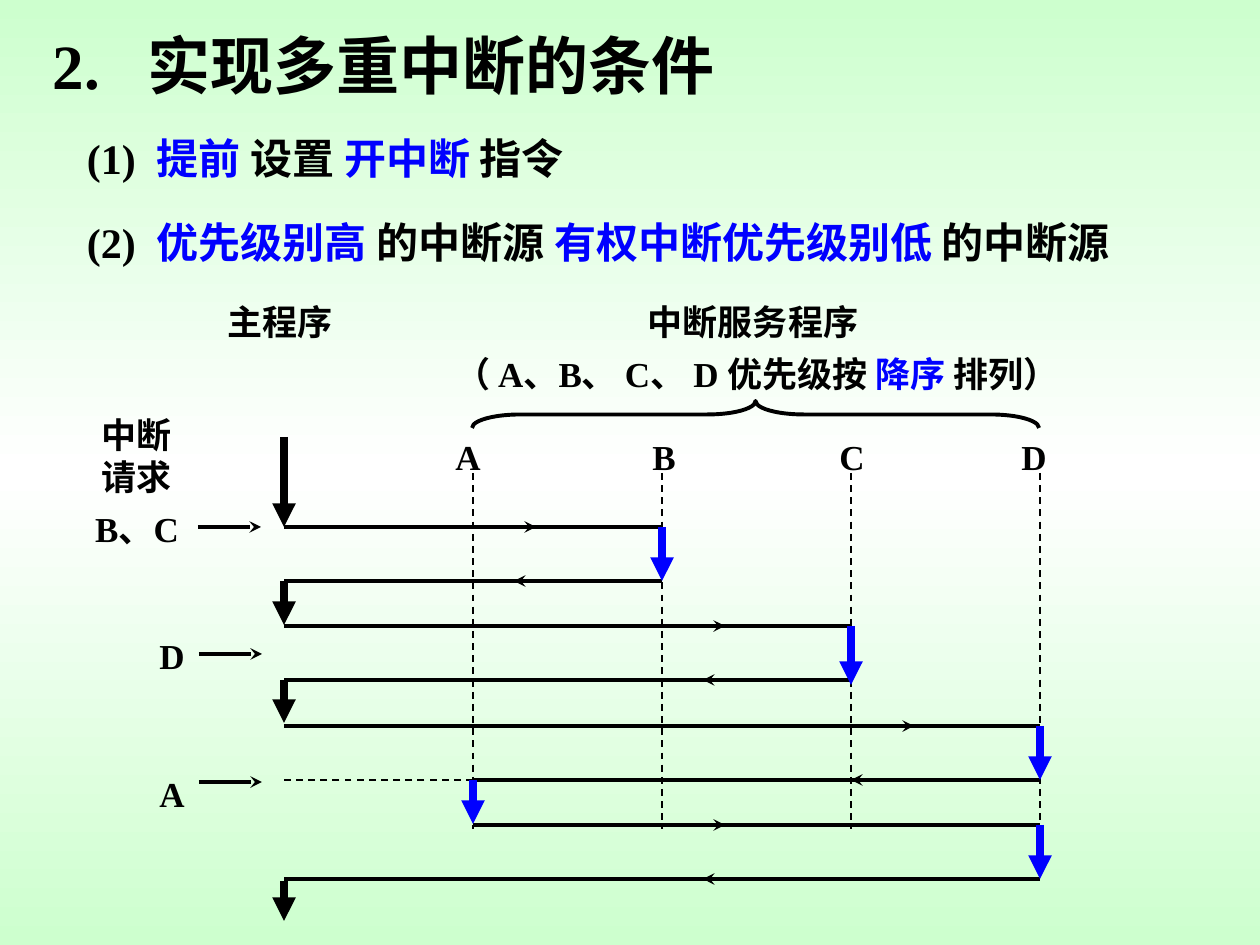
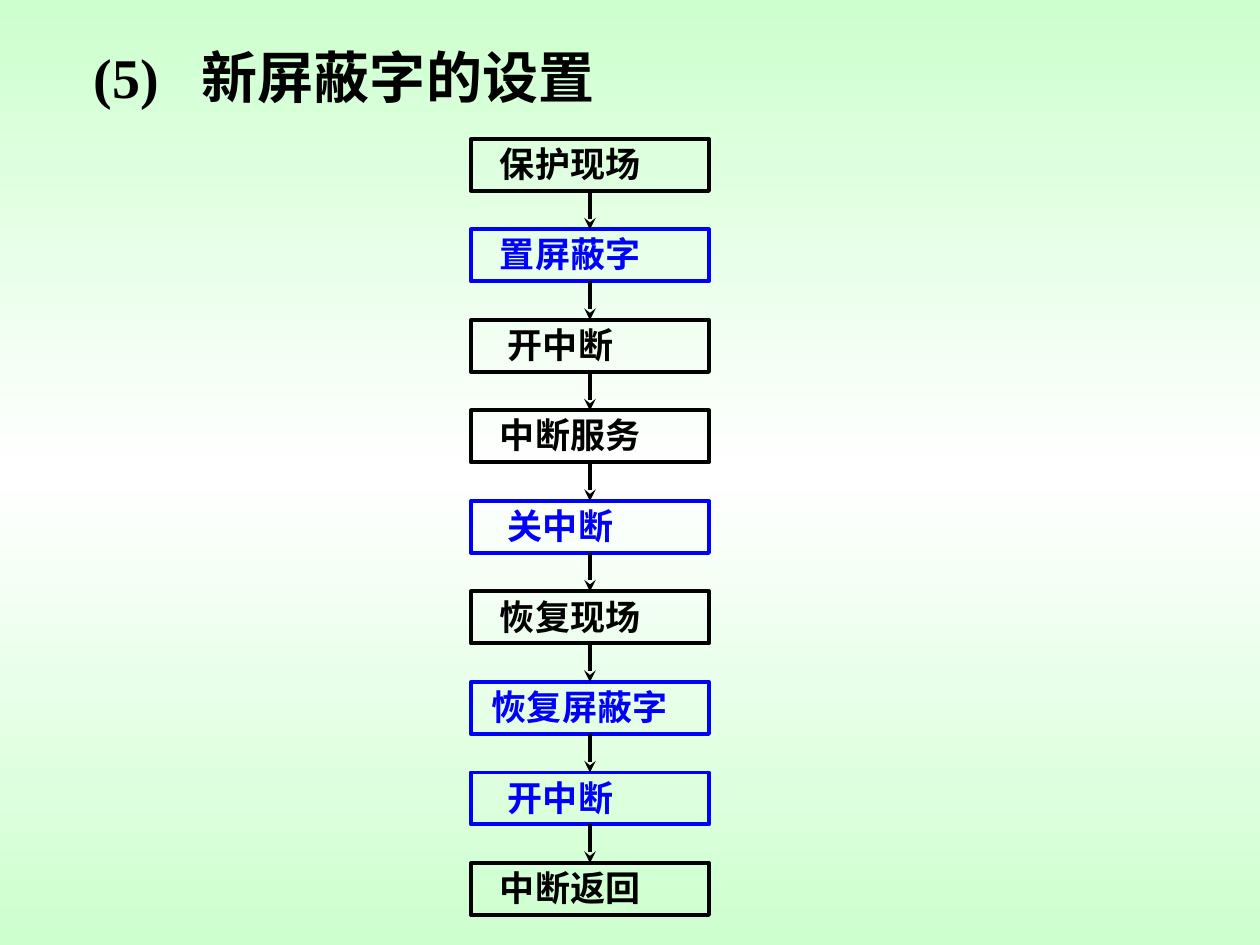
from copy import deepcopy

from lxml.etree import SubElement
from pptx import Presentation
from pptx.dml.color import RGBColor
from pptx.enum.dml import MSO_LINE
from pptx.enum.shapes import MSO_CONNECTOR, MSO_SHAPE
from pptx.enum.text import MSO_ANCHOR, PP_ALIGN
from pptx.oxml.ns import qn
from pptx.util import Emu, Pt

# Shared look
BLACK = RGBColor(0x00, 0x00, 0x00)
BLUE = RGBColor(0x00, 0x00, 0xFF)
GREEN = RGBColor(0xCD, 0xFF, 0xCE)
WHITE = RGBColor(0xFF, 0xFF, 0xFF)
LATIN, CJK = "Times New Roman", "Noto Sans CJK SC"
BG_STOPS = [(0, GREEN), (0.5, WHITE), (1, GREEN)]
THIN, LINE, THICK = 1, 2.25, 4.5
PAD, LABEL_PAD = (13, 6), (0, 6)

# Slide 1: text, as (text, colour) runs where colours mix
CONDITIONS_TITLE = "2.\t实现多重中断的条件"
CONDITIONS = [
    (127, [("(1)\t", BLACK), ("提前 ", BLUE), ("设置 ", BLACK),
           ("开中断 ", BLUE), ("指令", BLACK)]),
    (211, [("(2)\t", BLACK), ("优先级别高 ", BLUE), ("的中断源 ", BLACK),
           ("有权中断优先级别低 ", BLUE), ("的中断源", BLACK)]),
]
LABELS = [  # left, top, width, height, lines
    (215, 294, 130, 55, ["主程序"]),
    (635, 294, 236, 55, ["中断服务程序"]),
    (408, 346, 698, 55, [[("（ A、B、 C、 D 优先级按 ", BLACK),
                          ("降序 ", BLUE), ("排列）", BLACK)]]),
    (89, 407, 95, 97, ["中断", "请求"]),
    (74, 501, 126, 55, ["B、C"]),
    (147, 628, 50, 55, ["D"]),
    (147, 766, 50, 55, ["A"]),
    (443, 429, 50, 55, ["A"]),
    (640, 429, 48, 55, ["B"]),
    (827, 429, 50, 55, ["C"]),
    (1009, 429, 50, 55, ["D"]),
]

# Slide 1: timeline; M is the main program, A to D the service programs
LANES = {name: 284 + 189 * i for i, name in enumerate("MABCD")}
REQUESTS = [(198, 527), (199, 654), (199, 782)]  # arrow start x, y
JUMPS = [  # y, from lane, to lane, x of the arrow tip
    (527, "M", "B", 536),
    (581, "B", "M", 514),
    (626, "M", "C", 725),
    (680, "C", "M", 703),
    (726, "M", "D", 914),
    (780, "D", "A", 851),
    (825, "A", "D", 725),
    (879, "D", "M", 703),
]
RUNNING = [  # lane, from y, to y
    ("M", 437, 527), ("B", 527, 581), ("M", 581, 625), ("C", 626, 685),
    ("M", 680, 723), ("D", 726, 780), ("A", 780, 824), ("D", 825, 879),
    ("M", 881, 921),
]
ARROW_LEN = 63

# Slide 2: flow chart steps and colours
MASK_TITLE = "(5)\t新屏蔽字的设置"
STEPS = [
    ("保护现场", BLACK), ("置屏蔽字", BLUE), ("开中断", BLACK),
    ("中断服务", BLACK), ("关中断", BLUE), ("恢复现场", BLACK),
    ("恢复屏蔽字", BLUE), ("开中断", BLUE), ("中断返回", BLACK),
]
STEP_LEFT, STEP_W, STEP_H = 471, 238, 52
FIRST_TOP, LAST_TOP = 139, 863


def px(n):
    return Emu(round(n * 914400 / 126))


def write(tf, lines, size, font=LATIN, color=BLACK, tab=None,
          align=PP_ALIGN.LEFT):
    """Fill a text frame; a line is a string or a list of coloured runs."""
    for i, line in enumerate(lines):
        p = tf.paragraphs[0] if i == 0 else tf.add_paragraph()
        p.alignment = align
        if tab:
            tabs = SubElement(p._p.get_or_add_pPr(), qn("a:tabLst"))
            SubElement(tabs, qn("a:tab"), pos=str(px(tab)), algn="l")
        p.font.size, p.font.bold, p.font.name = Pt(size), True, font
        p.font.color.rgb = color
        SubElement(p._p.pPr.find(qn("a:defRPr")), qn("a:ea"), typeface=CJK)
        runs = [(line, color)] if isinstance(line, str) else line
        for text, run_color in runs:
            r = p.add_run()
            r.text = text
            if run_color != color:
                r.font.color.rgb = run_color


def set_margins(tf, x, y):
    tf.margin_left = tf.margin_right = px(x)
    tf.margin_top = tf.margin_bottom = px(y)


def add_text(s, box, lines, size, margins=PAD, anchor=MSO_ANCHOR.TOP,
             **style):
    tf = s.shapes.add_textbox(*map(px, box)).text_frame
    tf.word_wrap, tf.vertical_anchor = True, anchor
    set_margins(tf, *margins)
    write(tf, lines, size, **style)


def add_title(s, left, top, text, size, tab):
    add_text(s, (left, top, 983, 59), [text], size, margins=(0, 0),
             anchor=MSO_ANCHOR.MIDDLE, tab=tab)


def add_line(s, x1, y1, x2, y2, width=LINE, color=BLACK, head=None,
             dashed=False):
    c = s.shapes.add_connector(MSO_CONNECTOR.STRAIGHT,
                               px(x1), px(y1), px(x2), px(y2))
    c.line.width, c.line.color.rgb = Pt(width), color
    if dashed:
        c.line.dash_style = MSO_LINE.DASH
    sp_pr = c._element.spPr
    if head:
        SubElement(sp_pr.find(qn("a:ln")), qn("a:tailEnd"), type=head)
    SubElement(sp_pr, qn("a:effectLst"))
    return c


def add_outline(s, kind, box, color):
    sp = s.shapes.add_shape(kind, *map(px, box))
    sp.shadow.inherit = False
    sp.fill.background()
    sp.line.width, sp.line.color.rgb = Pt(LINE), color
    return sp


def set_background(master):
    fill = master.background.fill
    fill.gradient()
    fill.gradient_angle = 90
    stops = master._element.find(".//" + qn("a:gsLst"))
    stops.insert(1, deepcopy(stops[0]))
    for stop, (pos, color) in zip(fill.gradient_stops, BG_STOPS):
        stop.position, stop.color.rgb = pos, color


def build_conditions(s):
    add_title(s, 53, 35, CONDITIONS_TITLE, 36, tab=95)
    for top, runs in CONDITIONS:
        add_text(s, (74, top, 1123, 63), [runs], 24, tab=70)
    for *box, lines in LABELS:
        add_text(s, box, lines, 20, margins=LABEL_PAD, align=PP_ALIGN.CENTER)

    # Brace over the service programs
    brace = add_outline(s, MSO_SHAPE.LEFT_BRACE, (742, 131, 27, 567), BLACK)
    brace.rotation = 90
    brace.adjustments[0] = 1.79

    # Lane guides
    for name in "ABCD":
        add_line(s, LANES[name], 473, LANES[name], 829, THIN, dashed=True)
    add_line(s, LANES["A"], 780, LANES["M"], 780, THIN, dashed=True)

    # Requests, jumps between lanes, running time in a lane
    for x, y in REQUESTS:
        add_line(s, x, y, x + ARROW_LEN, y, head="stealth")
    for y, start, end, tip in JUMPS:
        x1, x2 = LANES[start], LANES[end]
        tail = tip - ARROW_LEN if x2 > x1 else tip + ARROW_LEN
        add_line(s, x1, y, x2, y)
        add_line(s, tail, y, tip, y, head="stealth")
    for name, y1, y2 in RUNNING:
        add_line(s, LANES[name], y1, LANES[name], y2, THICK,
                 BLACK if name == "M" else BLUE, head="triangle")


def build_mask_steps(s):
    add_title(s, 94, 47, MASK_TITLE, 32, tab=108)
    pitch = (LAST_TOP - FIRST_TOP) / (len(STEPS) - 1)
    boxes = []
    for i, (text, color) in enumerate(STEPS):
        box = (STEP_LEFT, FIRST_TOP + i * pitch, STEP_W, STEP_H)
        sp = add_outline(s, MSO_SHAPE.RECTANGLE, box, color)
        tf = sp.text_frame
        tf.vertical_anchor = MSO_ANCHOR.MIDDLE
        set_margins(tf, 0, 0)
        tf.margin_bottom = px(3)
        tf.margin_left = px(61 - 8 * len(text))  # longer text starts earlier
        write(tf, [text], 20, font=CJK, color=color)
        boxes.append(sp)
    for above, below in zip(boxes, boxes[1:]):
        c = add_line(s, 0, 0, 0, 0, head="stealth")
        c.begin_connect(above, 2)
        c.end_connect(below, 0)


def main():
    prs = Presentation()
    prs.slide_width, prs.slide_height = px(1260), px(945)
    set_background(prs.slide_master)
    for build in (build_conditions, build_mask_steps):
        build(prs.slides.add_slide(prs.slide_layouts[6]))
    prs.save("out.pptx")


if __name__ == "__main__":
    main()
